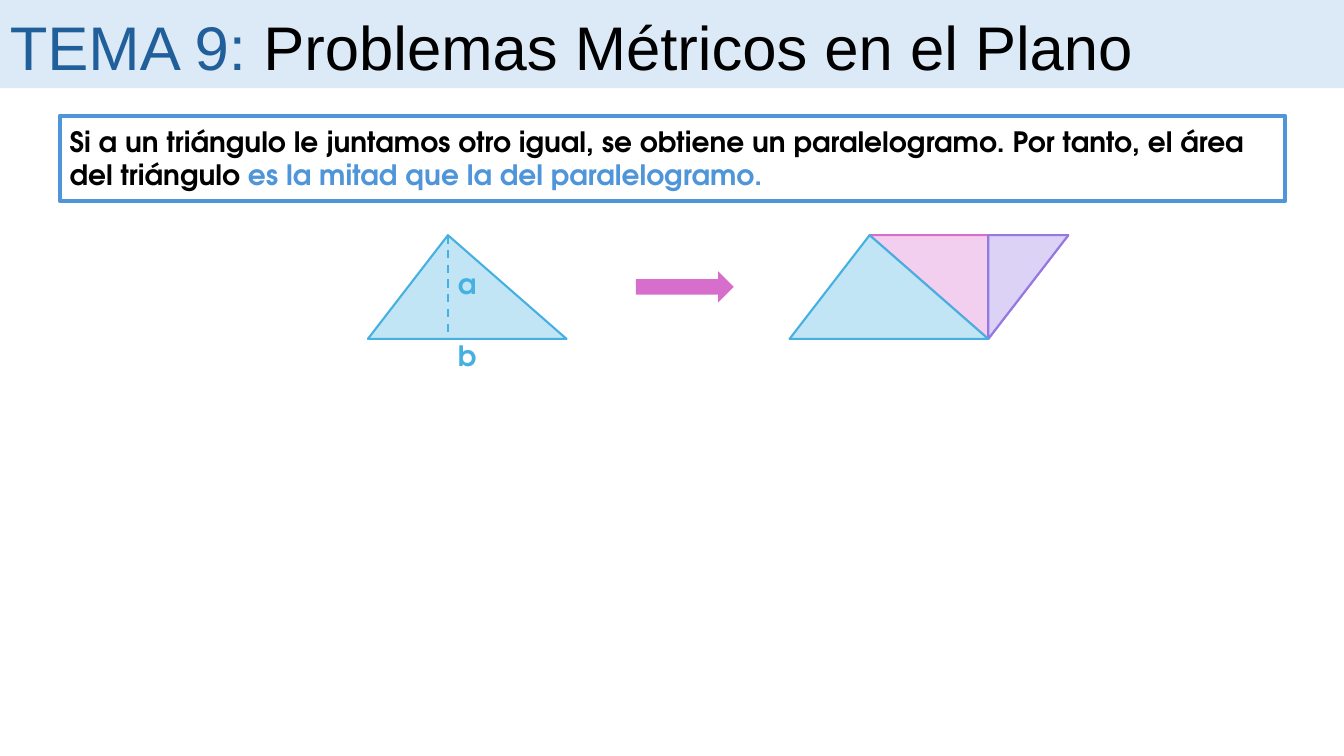
from pptx import Presentation
from pptx.dml.color import RGBColor
from pptx.enum.dml import MSO_LINE
from pptx.enum.shapes import MSO_CONNECTOR, MSO_SHAPE
from pptx.enum.text import PP_ALIGN
from pptx.util import Inches, Pt
from lxml.etree import SubElement
from pptx.oxml.ns import qn

BLACK = RGBColor(0x00, 0x00, 0x00)
NAVY = RGBColor(0x21, 0x5F, 0x9A)
BLUE = RGBColor(0x4E, 0x95, 0xD9)
BAND = RGBColor(0xDC, 0xEA, 0xF7)
SKY = RGBColor(0x46, 0xB1, 0xE1)
SKY_PALE = RGBColor(0xC1, 0xE5, 0xF5)
PINK = RGBColor(0xD8, 0x6E, 0xCC)
PINK_PALE = RGBColor(0xF2, 0xCF, 0xEE)
VIOLET = RGBColor(0x95, 0x79, 0xE3)
VIOLET_PALE = RGBColor(0xDB, 0xD2, 0xF6)

COLS, ROWS = 160, 90
TITLE = {"name": "Arial", "size": Pt(44)}
BODY = {"name": "TeX Gyre Adventor", "size": Pt(20), "bold": True}

# Triangle, in grid cells
TOP, BASE, HEIGHT = 28, 23.65, 12.35
BOTTOM = TOP + HEIGHT
APEX_SHARE = 0.403
APEX = BASE * APEX_SHARE


class Board:
    """A slide addressed by the columns and rows of a COLS x ROWS grid."""

    def __init__(self, prs):
        self.s = prs.slides.add_slide(prs.slide_layouts[6])
        self.col = prs.slide_width / COLS
        self.row = prs.slide_height / ROWS

    def place(self, x, y):
        return round(x * self.col), round(y * self.row)

    def paint(self, sp, fill, line, weight):
        sp.shadow.inherit = False
        if fill is None:
            sp.fill.background()
        else:
            sp.fill.solid()
            sp.fill.fore_color.rgb = fill
        if line is None:
            sp.line.fill.background()
        else:
            sp.line.color.rgb = line
            sp.line.width = Pt(weight)
        return sp

    def shape(self, kind, x, y, w, h, fill=None, line=None, weight=1.5):
        sp = self.s.shapes.add_shape(kind, *self.place(x, y), *self.place(w, h))
        return self.paint(sp, fill, line, weight)

    def triangle(self, x, fill, line, rotation=0):
        sp = self.shape(MSO_SHAPE.ISOSCELES_TRIANGLE, x, TOP, BASE, HEIGHT, fill, line)
        sp.adjustments[0] = APEX_SHARE
        sp.rotation = rotation

    def polygon(self, points, fill, line):
        start, *rest = [self.place(x, y) for x, y in points]
        builder = self.s.shapes.build_freeform(*start)
        builder.add_line_segments(rest, close=True)
        self.paint(builder.convert_to_shape(), fill, line, 1.5)

    def dashed(self, x1, y1, x2, y2, color):
        c = self.s.shapes.add_connector(
            MSO_CONNECTOR.STRAIGHT, *self.place(x1, y1), *self.place(x2, y2))
        for key, value in {"width": Pt(1.5), "dash_style": MSO_LINE.DASH}.items():
            setattr(c.line, key, value)
        c.line.color.rgb = color
        SubElement(c._element.spPr, qn("a:effectLst"))

    def text(self, x, y, w, h, runs, style, align=PP_ALIGN.LEFT):
        tf = self.s.shapes.add_textbox(*self.place(x, y), *self.place(w, h)).text_frame
        tf.word_wrap = True
        p = tf.paragraphs[0]
        p.alignment = align
        for words, color in runs:
            r = p.add_run()
            r.text = words
            r.font.color.rgb = color
            for key, value in style.items():
                setattr(r.font, key, value)


def main():
    prs = Presentation()
    prs.slide_width, prs.slide_height = Inches(13.333), Inches(7.5)
    board = Board(prs)

    board.shape(MSO_SHAPE.RECTANGLE, 0, 0, COLS, 10.5, BAND)
    board.text(0, 0.5, 155, 10, [("TEMA 9: ", NAVY),
                                 ("Problemas Métricos en el Plano", BLACK)], TITLE)

    board.shape(MSO_SHAPE.RECTANGLE, 7.1, 13.8, 145.9, 10.1, line=BLUE, weight=3)
    board.text(7.1, 14.2, 145.9, 9.2, [
        ("Si a un triángulo le juntamos otro igual, se obtiene un paralelogramo. "
         "Por tanto, el área del triángulo ", BLACK),
        ("es la mitad que la del paralelogramo.", BLUE)], BODY)

    left = 43.8
    board.triangle(left, SKY_PALE, SKY)
    board.dashed(left + APEX, TOP, left + APEX, BOTTOM, SKY)
    for letter, y in (("a", 31.1), ("b", 39.75)):
        board.text(52.1, y, 7, 5.3, [(letter, SKY)], BODY, PP_ALIGN.CENTER)

    board.shape(MSO_SHAPE.RIGHT_ARROW, 75.7, 32.3, 11.65, 3.7, PINK)

    left = 94
    apex, corner = left + APEX, left + BASE
    board.triangle(apex, PINK_PALE, PINK, rotation=180)
    board.polygon([(apex, TOP), (corner, TOP), (corner, BOTTOM)], PINK_PALE, PINK)
    board.polygon([(corner, TOP), (apex + BASE, TOP), (corner, BOTTOM)],
                  VIOLET_PALE, VIOLET)
    board.triangle(left, SKY_PALE, SKY)

    prs.save("out.pptx")


if __name__ == "__main__":
    main()
